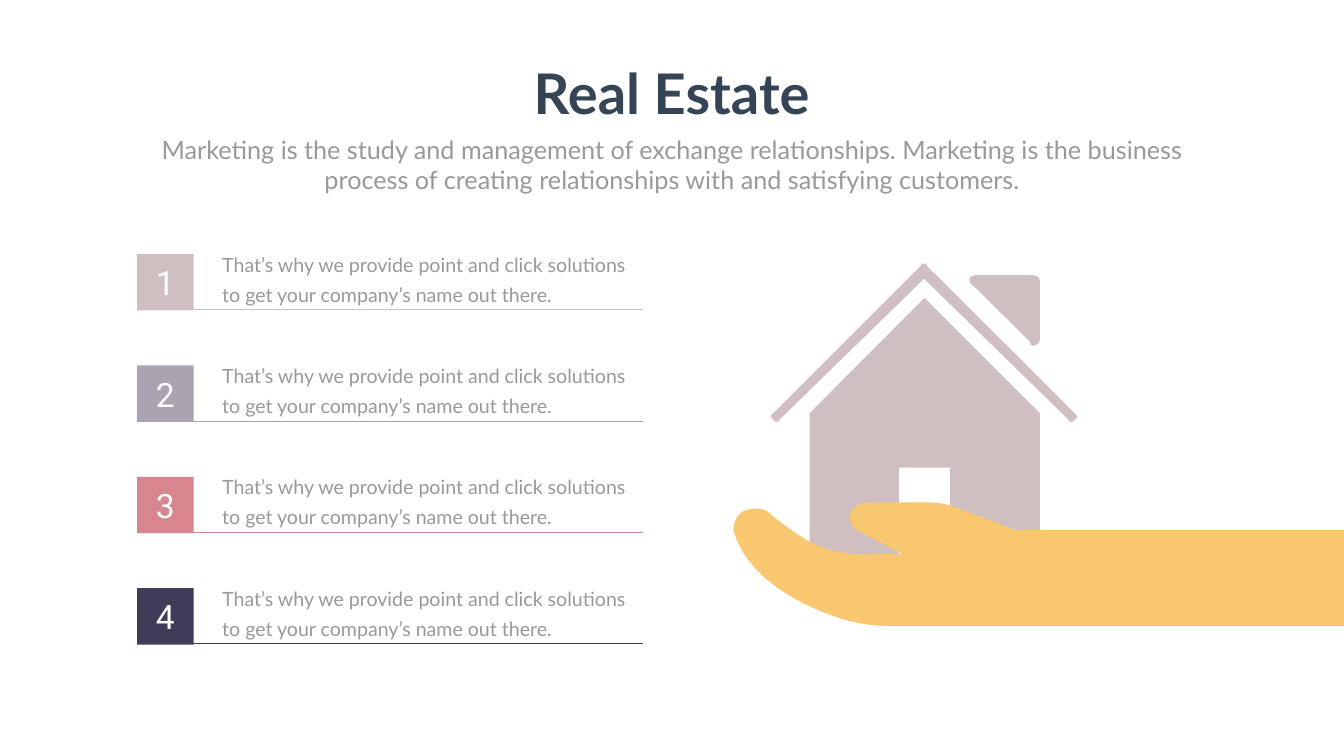
"""Build the Real Estate slide: four numbered points beside a hand holding a house."""
from dataclasses import dataclass

from lxml import etree
from pptx import Presentation
from pptx.dml.color import RGBColor
from pptx.enum.shapes import MSO_CONNECTOR, MSO_SHAPE
from pptx.enum.text import MSO_ANCHOR, MSO_AUTO_SIZE, PP_ALIGN
from pptx.oxml.ns import qn
from pptx.util import Inches, Pt

RECTANGLE = MSO_SHAPE.RECTANGLE
STRAIGHT = MSO_CONNECTOR.STRAIGHT
TOP, MIDDLE = MSO_ANCHOR.TOP, MSO_ANCHOR.MIDDLE
LEFT, CENTER = PP_ALIGN.LEFT, PP_ALIGN.CENTER
NO_AUTOFIT = MSO_AUTO_SIZE.NONE


@dataclass(frozen=True)
class Theme:
    text_font: str = "Lato"
    number_font: str = "Roboto"
    title: str = "364556"
    text: str = "999999"
    number: str = "FFFFFF"
    house: str = "CFBFC1"
    hand: str = "F9C770"
    points: tuple = ("CFBFC1", "ABA3B1", "D7858E", "413C57")
    title_size: int = 80
    number_size: int = 48
    subtitle_size: int = 36
    point_size: int = 28
    point_spacing: int = 43


theme = Theme()


def write_text(shape, text, font_name, size, color, alignment=CENTER, anchor=TOP, bold=False):
    text_frame = shape.text_frame
    text_frame.text = text
    text_frame.word_wrap = True
    text_frame.auto_size = NO_AUTOFIT
    text_frame.vertical_anchor = anchor
    paragraph = text_frame.paragraphs[0]
    paragraph.alignment = alignment
    paragraph.space_before = Pt(0)
    font = paragraph.runs[0].font
    font.name, font.size, font.bold = font_name, Pt(size), bold
    font.color.rgb = RGBColor.from_string(color)
    return paragraph


def draw_outline(shapes, start, segments, color):
    points = [
        (Inches(segment[i]), Inches(segment[i + 1]))
        for segment in segments
        for i in range(0, len(segment), 2)
    ]
    builder = shapes.build_freeform(Inches(start[0]), Inches(start[1]))
    builder.add_line_segments(points, close=True)
    shape = builder.convert_to_shape()
    lines = iter(list(shape._element.iter(qn("a:lnTo"))))
    for segment in segments:
        first = next(lines)
        if len(segment) == 6:
            first.tag = qn("a:cubicBezTo")
            for line in (next(lines), next(lines)):
                first.append(line[0])
                line.getparent().remove(line)
    shape.shadow.inherit = False
    shape.fill.solid()
    shape.fill.fore_color.rgb = RGBColor.from_string(color)
    shape.line.fill.background()


presentation = Presentation()
presentation.slide_width = Inches(26.66)
presentation.slide_height = Inches(15)
slide = presentation.slides.add_slide(presentation.slide_layouts[0])
shapes = slide.shapes

title, subtitle = slide.placeholders
title.left, title.top, title.width, title.height = map(Inches, (10.41, 1.12, 5.83, 1.45))
write_text(title, "Real Estate", theme.text_font, theme.title_size, theme.title, bold=True)
title.text_frame.word_wrap = False
subtitle.left, subtitle.top, subtitle.width, subtitle.height = map(Inches, (2.92, 2.61, 20.82, 1.31))
write_text(
    subtitle,
    "Marketing is the study and management of exchange relationships. Marketing is the business "
    "process of creating relationships with and satisfying customers.",
    theme.text_font, theme.subtitle_size, theme.text,
)

point_text = "That’s why we provide point and click solutions to get your company’s name out there."
point_left, point_right, first_top, pitch, square_size = 2.72, 12.75, 5.04, 2.21, 1.12
text_left = 4.31
for index, color in enumerate(theme.points):
    top = first_top + index * pitch
    square = shapes.add_shape(
        RECTANGLE, Inches(point_left), Inches(top), Inches(square_size), Inches(square_size)
    )
    square.shadow.inherit = False
    square.fill.solid()
    square.fill.fore_color.rgb = RGBColor.from_string(color)
    square.line.fill.background()
    write_text(
        square, str(index + 1), theme.number_font, theme.number_size, theme.number, anchor=MIDDLE
    )

    text_box = shapes.add_textbox(
        Inches(text_left), Inches(top - 0.21), Inches(point_right - text_left), Inches(1.25)
    )
    paragraph = write_text(
        text_box, point_text, theme.text_font, theme.point_size, theme.text, alignment=LEFT
    )
    paragraph.line_spacing = Pt(theme.point_spacing)

    line_top = Inches(top + 1.1)
    underline = shapes.add_connector(
        STRAIGHT, Inches(point_left), line_top, Inches(point_right), line_top
    )
    underline.line.color.rgb = RGBColor.from_string(color)
    underline.line.width = Pt(0.5)
    etree.SubElement(underline._element.spPr, qn("a:effectLst"))

chimney = [
    (20.44, 6.86, 20.44, 6.86, 20.5, 6.86), (20.56, 6.86, 20.63, 6.79, 20.63, 6.73),
    (20.63, 5.58), (20.63, 5.52, 20.56, 5.46, 20.5, 5.46),
    (19.36, 5.46), (19.29, 5.46, 19.23, 5.52, 19.23, 5.52),
    (19.23, 5.58, 19.23, 5.65, 19.29, 5.65),
]
walls = [
    (16.06, 11.08), (17.83, 11.08), (17.83, 9.28), (18.85, 9.28),
    (18.85, 11.08), (20.63, 11.08), (20.63, 8.2), (18.34, 5.91),
]
roof = [
    (18.39, 5.28), (18.39, 5.21, 18.26, 5.21, 18.26, 5.28),
    (15.34, 8.2), (15.28, 8.2, 15.28, 8.32, 15.34, 8.32),
    (15.34, 8.39, 15.47, 8.39, 15.47, 8.32), (18.33, 5.53),
    (21.19, 8.32), (21.19, 8.39, 21.32, 8.39, 21.32, 8.32),
    (21.38, 8.32, 21.38, 8.26, 21.32, 8.2),
]
hand = [
    (17.64, 12.42), (17.28, 12.42, 16.91, 12.36, 16.58, 12.24),
    (15.88, 12, 14.81, 11.47, 14.55, 10.52), (14.55, 10.52, 14.52, 9.97, 15.19, 10.12),
    (15.19, 10.12, 15.51, 10.41, 15.91, 10.66), (16.27, 10.89, 16.68, 11, 17.11, 11),
    (17.9, 10.99), (17.01, 10.53), (16.89, 10.47, 16.83, 10.32, 16.87, 10.18),
    (16.91, 10.07, 17.04, 9.96, 17.35, 9.97), (18.44, 9.97),
    (18.61, 9.97, 18.78, 10, 18.94, 10.06), (20.15, 10.52), (26.66, 10.52), (26.66, 12.42),
]
draw_outline(shapes, (20.44, 6.79), chimney, theme.house)
draw_outline(shapes, (16.06, 8.2), walls, theme.house)
draw_outline(shapes, (21.32, 8.2), roof, theme.house)
draw_outline(shapes, (20.15, 12.42), hand, theme.hand)

presentation.save("out.pptx")
